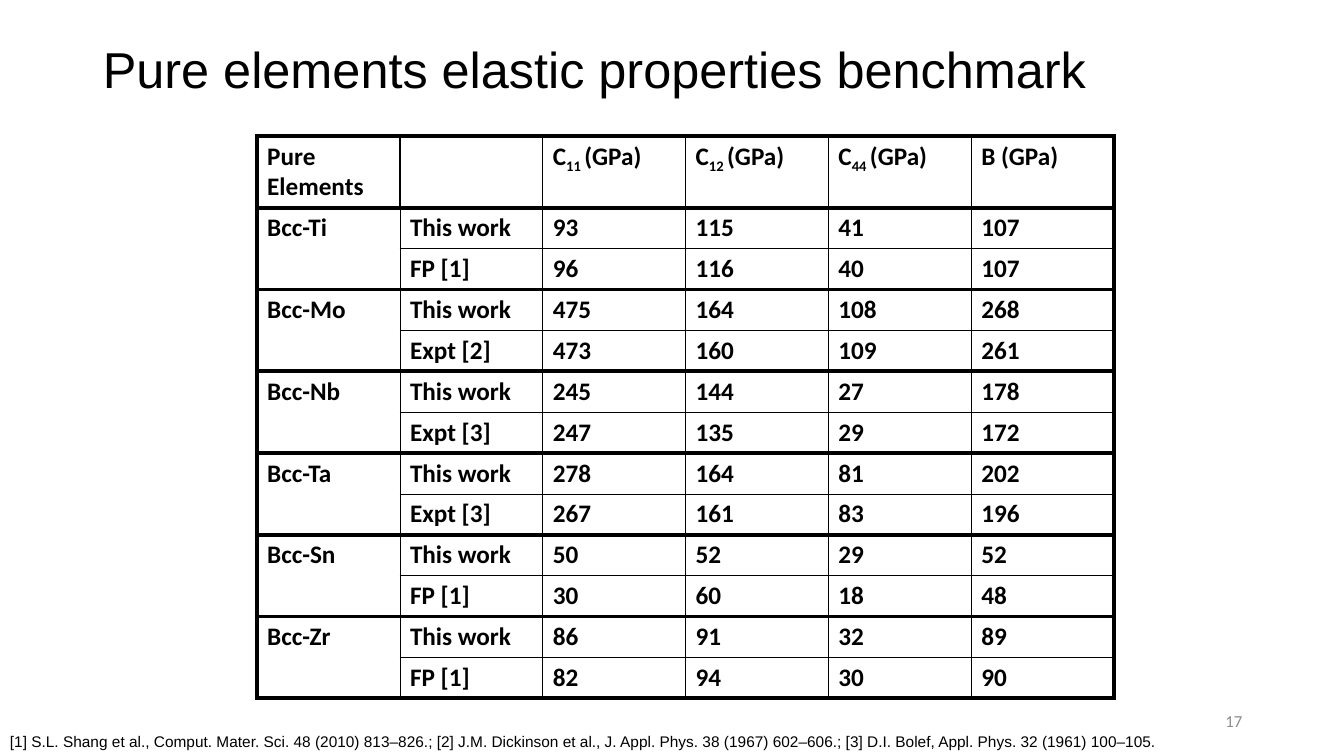
from pptx import Presentation
from pptx.dml.color import RGBColor
from pptx.enum.text import MSO_ANCHOR, PP_ALIGN
from pptx.oxml.ns import qn
from pptx.util import Inches, Pt
from lxml.etree import SubElement

HEADS = ["Pure Elements", "", "C|11 |(GPa)", "C|12 |(GPa)", "C|44 |(GPa)", "B (GPa)"]
METALS = [
    ("Bcc-Ti", [93, 115, 41, 107], "FP [1]", [96, 116, 40, 107]),
    ("Bcc-Mo", [475, 164, 108, 268], "Expt [2]", [473, 160, 109, 261]),
    ("Bcc-Nb", [245, 144, 27, 178], "Expt [3]", [247, 135, 29, 172]),
    ("Bcc-Ta", [278, 164, 81, 202], "Expt [3]", [267, 161, 83, 196]),
    ("Bcc-Sn", [50, 52, 29, 52], "FP [1]", [30, 60, 18, 48]),
    ("Bcc-Zr", [86, 91, 32, 89], "FP [1]", [82, 94, 30, 90]),
]
REFS = ("[1] S.L. Shang et al., Comput. Mater. Sci. 48 (2010) 813–826.; "
        "[2] J.M. Dickinson et al., J. Appl. Phys. 38 (1967) 602–606.; "
        "[3] D.I. Bolef, Appl. Phys. 32 (1961) 100–105.")


def color(code):
    return RGBColor.from_string(code)


def style(para, size, name="Arial", code="000000", bold=False):
    font = para.font
    font.size, font.name, font.bold = Pt(size), name, bold
    font.color.rgb = color(code)


def place(shape, box):
    shape.left, shape.top, shape.width, shape.height = [Inches(n) for n in box]


def add_title(slide, box, text):
    title = slide.shapes.title
    place(title, box)
    frame = title.text_frame
    frame.text = text
    frame.word_wrap = True
    frame.vertical_anchor = MSO_ANCHOR.TOP
    para = frame.paragraphs[0]
    para.alignment = PP_ALIGN.LEFT
    para.line_spacing = 0.9
    style(para, 36)


def add_note(slide, box, text, size, name="Arial", code="000000",
             align=PP_ALIGN.LEFT, anchor=MSO_ANCHOR.TOP):
    frame = slide.shapes.add_textbox(*[Inches(n) for n in box]).text_frame
    frame.text = text
    frame.word_wrap = True
    frame.vertical_anchor = anchor
    para = frame.paragraphs[0]
    para.alignment = align
    style(para, size, name, code)


def set_edges(cell, widths):
    """Draw the left, right, top and bottom borders, in points."""
    props = cell._tc.get_or_add_tcPr()
    for side, width in zip("LRTB", widths):
        line = SubElement(props, qn(f"a:ln{side}"), w=str(Pt(width)))
        fill = SubElement(line, qn("a:solidFill"))
        SubElement(fill, qn("a:srgbClr"), val="000000")


def fill_cell(cell, text):
    para = cell.text_frame.paragraphs[0]
    # Every second part between bars is a subscript
    for i, part in enumerate(text.split("|")):
        run = para.add_run()
        run.text = part
        if i % 2:
            run.font._element.set("baseline", "-25000")
    style(para, 18, "Calibri", bold=True)


def add_grid(slide, box, head):
    rows = [HEADS]
    for metal, ours, source, theirs in METALS:
        rows += [[metal, "This work", *ours], ["", source, *theirs]]
    count, last = len(rows), len(HEADS) - 1
    table = slide.shapes.add_table(
        count, last + 1, *[Inches(n) for n in box]).table
    table.first_row = table.horz_banding = False

    # Equal columns, and equal rows below the header
    for col in table.columns:
        col.width = Inches(box[2] / (last + 1))
    for r, row in enumerate(table.rows):
        row.height = Inches((box[3] - head) / (count - 1) if r else head)

    # Heavy frame and a heavy rule around each element
    for r, row in enumerate(rows):
        thin = 0.5 if r else 1
        for c, value in enumerate(row):
            cell = table.cell(r, c)
            set_edges(cell, [
                3 if c == 0 else thin,
                3 if c == last else thin,
                3 if r == 0 or r % 2 else thin,
                3 if r % 2 == 0 or c == 0 else thin,
            ])
            cell.fill.background()
            if value != "":
                fill_cell(cell, str(value))
    for r in range(1, count, 2):
        table.cell(r, 0).merge(table.cell(r + 1, 0))


def main():
    deck = Presentation()
    deck.slide_width, deck.slide_height = Inches(13.33), Inches(7.5)
    slide = deck.slides.add_slide(deck.slide_layouts[5])

    # Table of elastic constants
    add_grid(slide, (2.55, 1.35, 8.5, 5.57), 0.71)
    # References and page number
    add_note(slide, (0, 7.21, 11.82, 0.29), REFS, 11)
    add_note(slide, (9.42, 6.95, 3, 0.4), "17", 12, "Calibri", "8C8C8C",
             PP_ALIGN.RIGHT, MSO_ANCHOR.MIDDLE)
    # Heading
    add_title(slide, (0.92, 0.4, 11.5, 1.45),
              "Pure elements elastic properties benchmark")
    deck.save("out.pptx")


if __name__ == "__main__":
    main()
